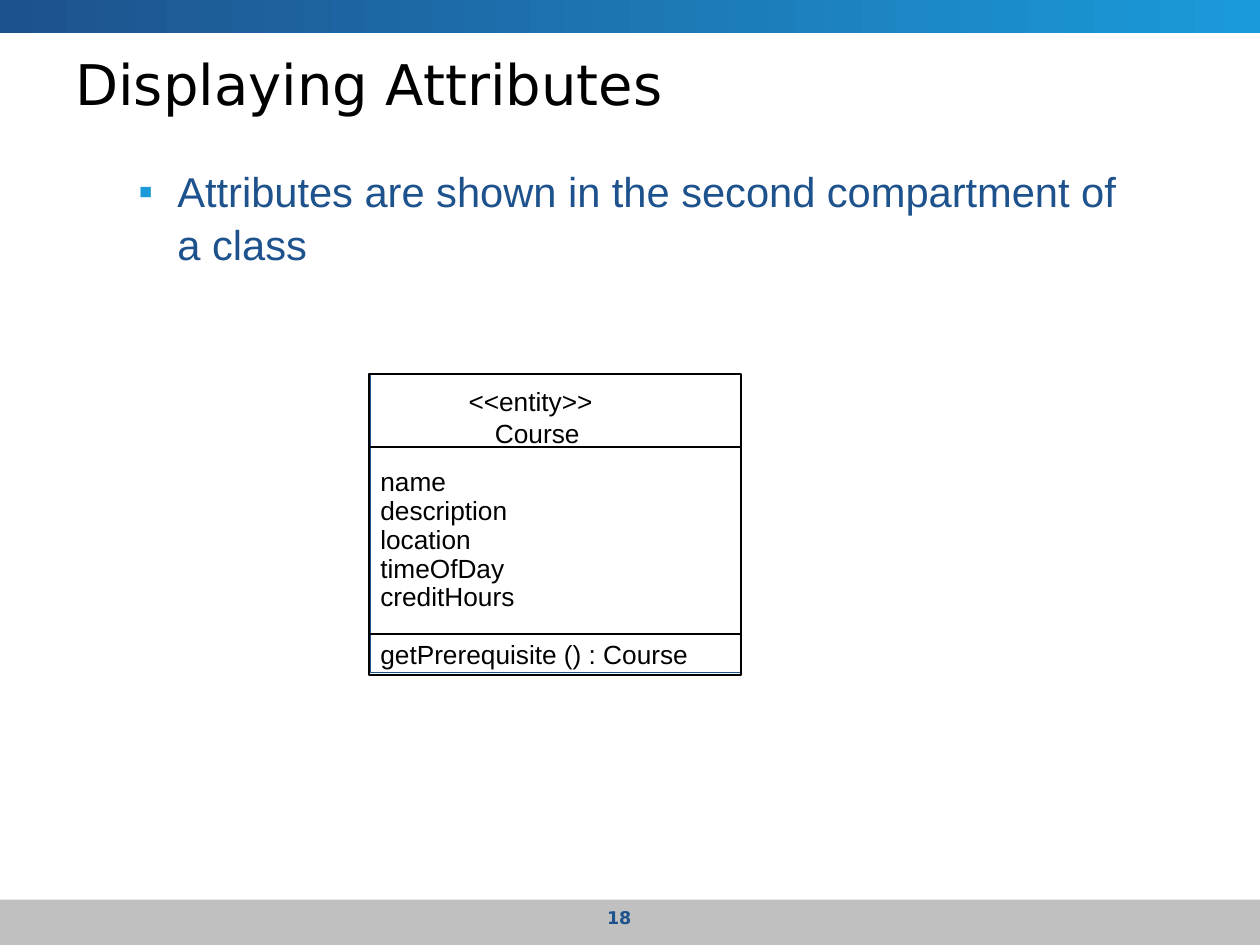
from lxml.etree import SubElement
from pptx import Presentation
from pptx.dml.color import RGBColor
from pptx.enum.shapes import MSO_CONNECTOR, MSO_SHAPE
from pptx.enum.text import MSO_ANCHOR, PP_ALIGN
from pptx.oxml.ns import qn
from pptx.util import Inches, Pt

BLACK, WHITE, GRAY = "000000", "FFFFFF", "C0C0C0"
NAVY, SKY = "1D528D", "1B9AD9"


def color(hex_code):
    return RGBColor.from_string(hex_code)


def add_rectangle(slide, left, top, width, height, fill=None, line=None, line_width=1):
    shape = slide.shapes.add_shape(
        MSO_SHAPE.RECTANGLE, Inches(left), Inches(top), Inches(width), Inches(height))
    shape.shadow.inherit = False
    if fill:
        shape.fill.solid()
        shape.fill.fore_color.rgb = color(fill)
    else:
        shape.fill.background()
    if line:
        shape.line.color.rgb = color(line)
        shape.line.width = Pt(line_width)
    else:
        shape.line.fill.background()
    return shape


def add_gradient_bar(slide, left, top, width, height, start, end):
    shape = add_rectangle(slide, left, top, width, height)
    shape.fill.gradient()
    shape.fill.gradient_angle = 0
    for stop, hex_code, position in zip(shape.fill.gradient_stops, (start, end), (0, 1)):
        stop.color.rgb = color(hex_code)
        stop.position = position


def add_divider(slide, left, right, top):
    connector = slide.shapes.add_connector(
        MSO_CONNECTOR.STRAIGHT, Inches(left), Inches(top), Inches(right), Inches(top))
    connector.line.color.rgb = color(BLACK)
    connector.line.width = Pt(1)
    SubElement(connector._element.spPr, qn("a:effectLst"))


def add_text(slide, left, top, width, height, text, size=15, font="Arial",
             hex_code=BLACK, bold=False, wrap=False):
    box = slide.shapes.add_textbox(
        Inches(left), Inches(top), Inches(width), Inches(height))
    box.text_frame.word_wrap = wrap
    paragraph = box.text_frame.paragraphs[0]
    run = paragraph.add_run()
    run.text = text
    run.font.size = Pt(size)
    run.font.name = font
    run.font.bold = bold
    run.font.color.rgb = color(hex_code)
    return box


def add_bullet(paragraph, character, hex_code, margin, indent):
    properties = paragraph._p.get_or_add_pPr()
    properties.set("marL", str(Inches(margin)))
    properties.set("indent", str(Inches(indent)))
    bullet_color = SubElement(properties, qn("a:buClr"))
    SubElement(bullet_color, qn("a:srgbClr"), val=hex_code)
    SubElement(properties, qn("a:buFont"), typeface="Arial")
    SubElement(properties, qn("a:buChar"), char=character)


def add_class_diagram(slide):
    left, right = 2.92, 5.88
    # Class frame and compartments
    add_rectangle(slide, 2.94, 2.97, 2.94, 2.37, WHITE, NAVY, 0.75)
    add_rectangle(slide, 2.93, 2.97, 2.95, 2.39, line=BLACK)
    for top in (3.55, 5.03):
        add_divider(slide, left, right, top)
    # Stereotype and class name
    add_text(slide, 3.62, 3.01, 1.19, 0.35, "<<entity>>")
    add_text(slide, 3.83, 3.26, 0.87, 0.35, "Course")
    # Attributes
    attributes = ("name", 0.72), ("description", 1.21), ("location", 0.92), \
        ("timeOfDay", 1.19), ("creditHours", 1.27)
    for row, (attribute, width) in enumerate(attributes):
        add_text(slide, left, 3.64 + 0.23 * row, width, 0.35, attribute)
    # Operation
    add_text(slide, left, 5.02, 2.65, 0.35, "getPrerequisite () : Course")


def main():
    presentation = Presentation()
    presentation.slide_width = Inches(10)
    presentation.slide_height = Inches(7.5)
    slide = presentation.slides.add_slide(presentation.slide_layouts[6])

    # Footer and header bars
    add_rectangle(slide, 0, 7.14, 10, 0.36, GRAY)
    add_gradient_bar(slide, 0, 0, 10, 0.26, NAVY, SKY)

    # Title
    title = add_text(slide, 0.5, 0.35, 9, 0.62, "Displaying Attributes",
                     32, "DejaVu Sans", wrap=True)
    title.text_frame.vertical_anchor = MSO_ANCHOR.MIDDLE

    # Body bullet
    body = add_text(slide, 0.5, 1.25, 8.55, 0.92,
                    "Attributes are shown in the second compartment of a class",
                    23.8, hex_code=NAVY, wrap=True)
    paragraph = body.text_frame.paragraphs[0]
    add_bullet(paragraph, "▪", SKY, 0.81, -0.31)
    paragraph.line_spacing = 1.05

    add_class_diagram(slide)

    # Slide number
    number = add_text(slide, 3.75, 7.15, 2.33, 0.28, "18", 10, "DejaVu Sans",
                      NAVY, bold=True, wrap=True)
    number.text_frame.paragraphs[0].alignment = PP_ALIGN.CENTER

    presentation.save("out.pptx")


if __name__ == "__main__":
    main()
